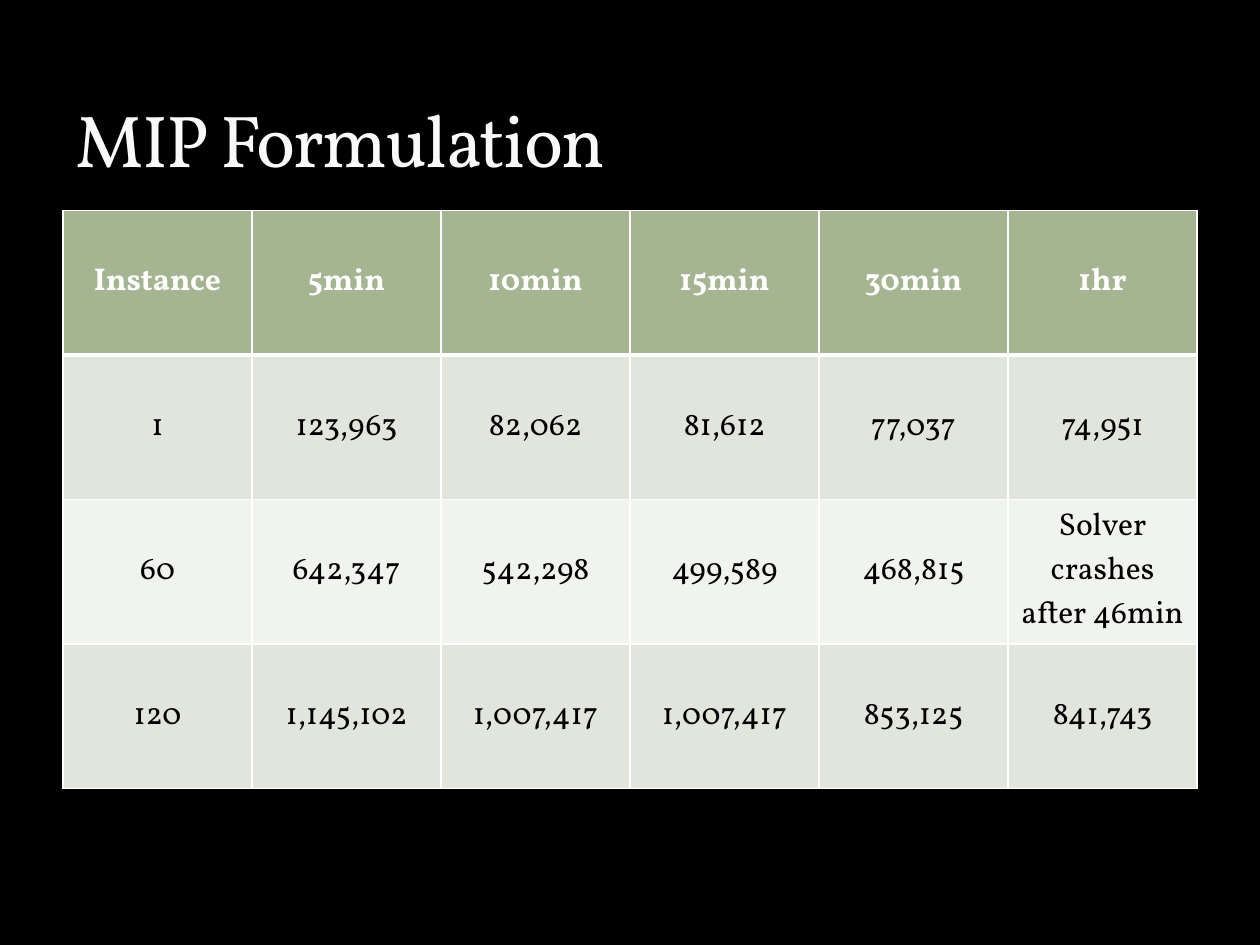
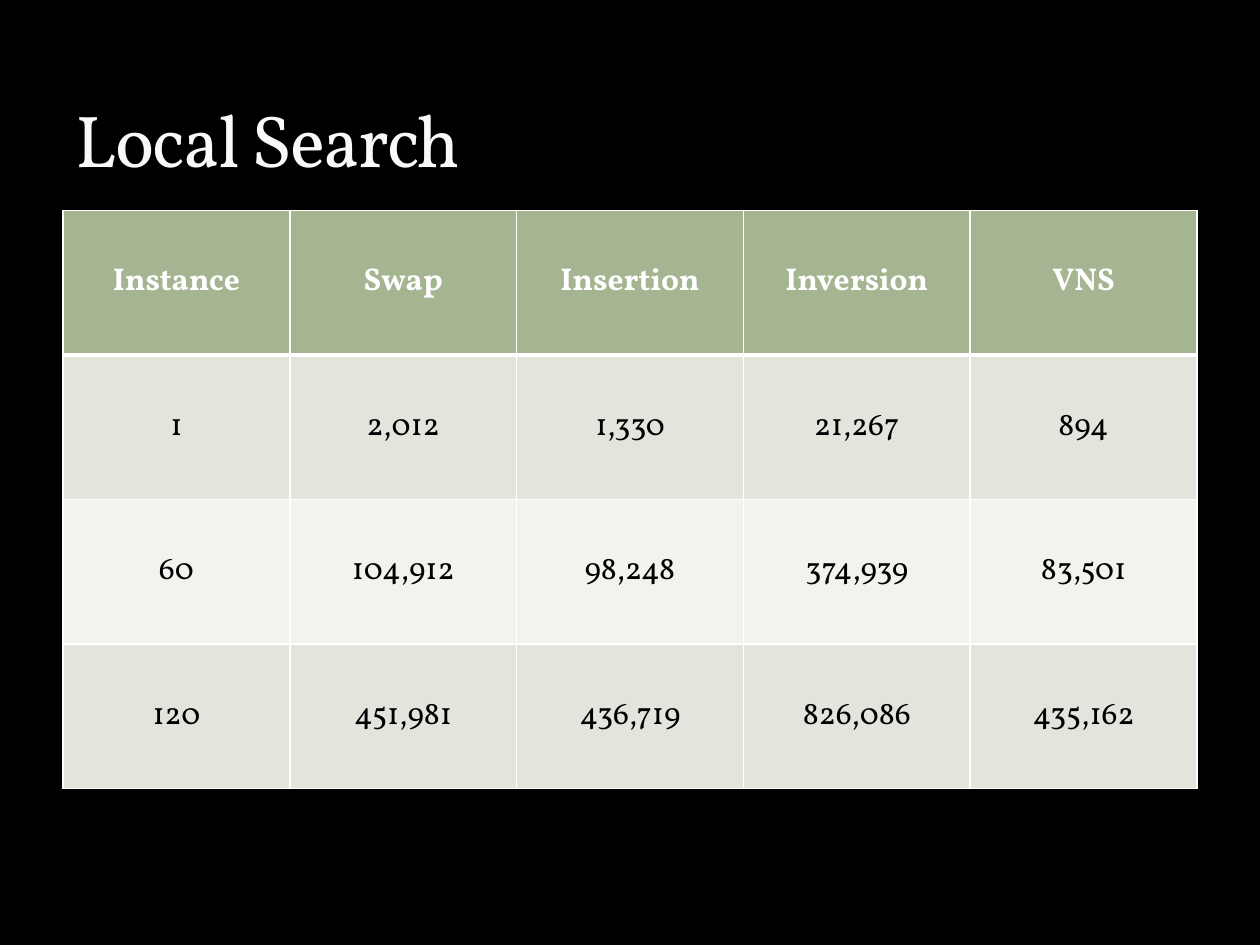
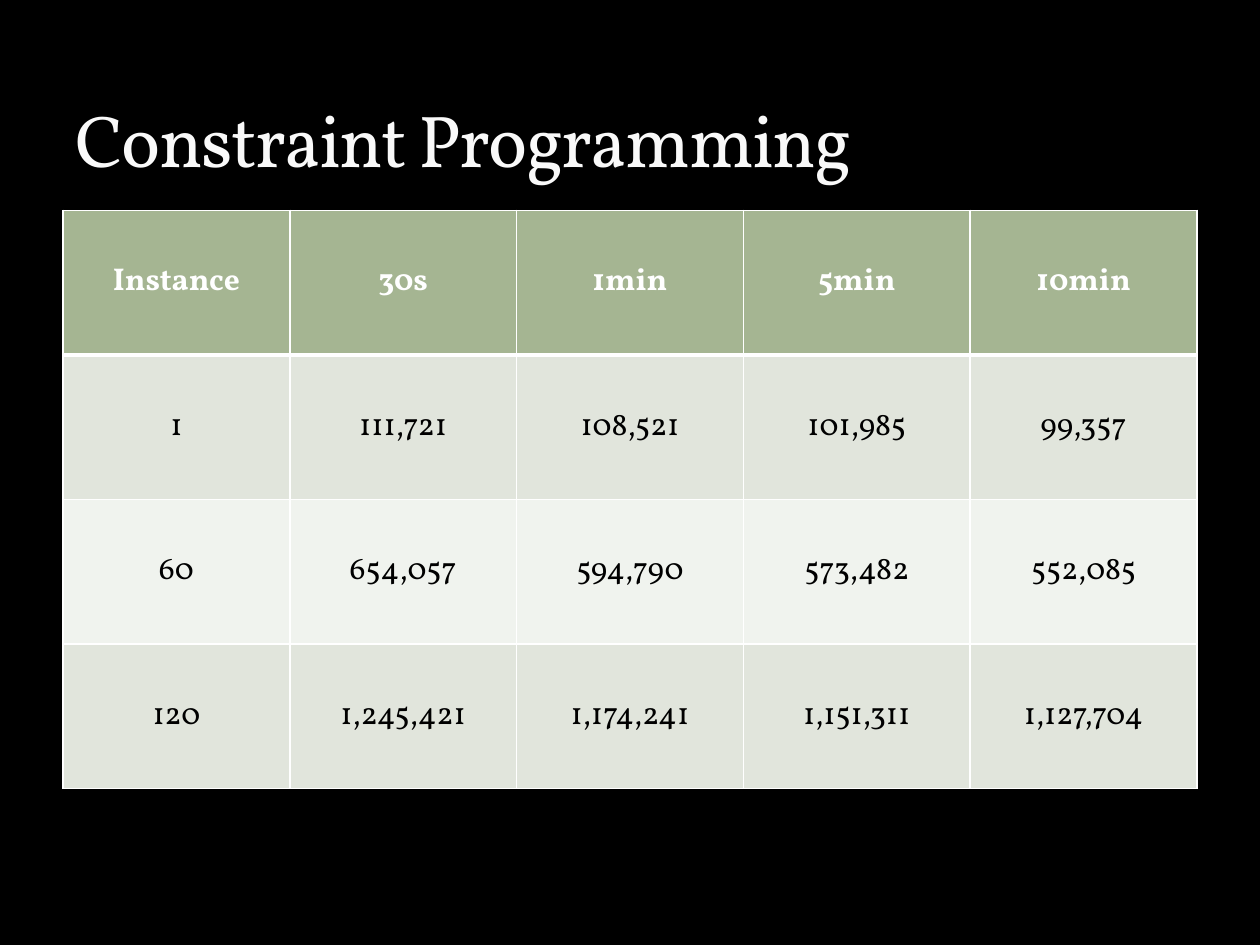
from lxml.etree import SubElement
from pptx import Presentation
from pptx.dml.color import RGBColor
from pptx.enum.text import MSO_ANCHOR, MSO_AUTO_SIZE, PP_ALIGN
from pptx.oxml import parse_xml
from pptx.oxml.ns import nsdecls, qn
from pptx.util import Inches, Pt

FONT = "Vollkorn"
COLORS = {
    "background": "000000",
    "title": "F9F9F9",
    "title_outline": "3C4422",
    "header": "A5B592",
    "header_text": "FFFFFF",
    "band_dark": "E1E5DC",
    "band_light": "F0F3EE",
    "body_text": "000000",
    "border": "FFFFFF",
}
LEFT, WIDTH = Inches(0.5), Inches(9)
TITLE_TOP, TITLE_HEIGHT = Inches(0.17), Inches(1.33)
TABLE_TOP, TABLE_HEIGHT = Inches(1.67), Inches(4.59)
THIN, THICK = Pt(1), Pt(3)

RESULTS = {
    "MIP Formulation": [
        ["Instance", "5min", "10min", "15min", "30min", "1hr"],
        ["1", "123,963", "82,062", "81,612", "77,037", "74,951"],
        ["60", "642,347", "542,298", "499,589", "468,815",
         "Solver crashes after 46min"],
        ["120", "1,145,102", "1,007,417", "1,007,417", "853,125", "841,743"],
    ],
    "Local Search": [
        ["Instance", "Swap", "Insertion", "Inversion", "VNS"],
        ["1", "2,012", "1,330", "21,267", "894"],
        ["60", "104,912", "98,248", "374,939", "83,501"],
        ["120", "451,981", "436,719", "826,086", "435,162"],
    ],
    "Constraint Programming": [
        ["Instance", "30s", "1min", "5min", "10min"],
        ["1", "111,721", "108,521", "101,985", "99,357"],
        ["60", "654,057", "594,790", "573,482", "552,085"],
        ["120", "1,245,421", "1,174,241", "1,151,311", "1,127,704"],
    ],
}


def color(name):
    return RGBColor.from_string(COLORS[name])


def format_span(span, size, color_name, bold=False):
    span.font.name = FONT
    span.font.size = Pt(size)
    span.font.bold = bold
    span.font.color.rgb = color(color_name)


def outline_text(span):
    """Give the letters a hairline, mostly transparent outline."""
    outline = parse_xml(
        f'<a:ln {nsdecls("a")} w="{Pt(0.25)}"><a:solidFill>'
        f'<a:srgbClr val="{COLORS["title_outline"]}"><a:alpha val="25000"/>'
        '</a:srgbClr></a:solidFill></a:ln>')
    span.font._element.insert(0, outline)


def set_title(page, text):
    title = page.shapes.title
    title.left, title.top = LEFT, TITLE_TOP
    title.width, title.height = WIDTH, TITLE_HEIGHT
    frame = title.text_frame
    frame.text = text
    frame.auto_size = MSO_AUTO_SIZE.NONE
    frame.vertical_anchor = MSO_ANCHOR.BOTTOM
    para = frame.paragraphs[0]
    para.alignment = PP_ALIGN.LEFT
    span = para.runs[0]
    format_span(span, 42, "title")
    span.font._element.set("spc", "-100")
    outline_text(span)


def set_borders(cell, top, bottom):
    """Draw all four cell borders; call before filling the cell."""
    properties = cell._tc.get_or_add_tcPr()
    widths = {"lnL": THIN, "lnR": THIN, "lnT": top, "lnB": bottom}
    for tag, width in widths.items():
        line = SubElement(properties, qn(f"a:{tag}"), w=str(width))
        fill = SubElement(line, qn("a:solidFill"))
        SubElement(fill, qn("a:srgbClr"), val=COLORS["border"])


def format_cell(cell, row_index):
    is_header = row_index == 0
    set_borders(cell, top=THICK if row_index == 1 else THIN,
                bottom=THICK if is_header else THIN)
    band = "band_dark" if row_index % 2 else "band_light"
    cell.fill.solid()
    cell.fill.fore_color.rgb = color("header" if is_header else band)
    cell.vertical_anchor = MSO_ANCHOR.MIDDLE
    para = cell.text_frame.paragraphs[0]
    para.alignment = PP_ALIGN.CENTER
    text_color = "header_text" if is_header else "body_text"
    format_span(para.runs[0], 18, text_color, bold=is_header)


def add_results_table(page, rows):
    table = page.shapes.add_table(len(rows), len(rows[0]), LEFT, TABLE_TOP,
                                  WIDTH, TABLE_HEIGHT).table
    for row_index, row in enumerate(rows):
        for column_index, value in enumerate(row):
            cell = table.cell(row_index, column_index)
            cell.text_frame.text = value
            format_cell(cell, row_index)


def main():
    deck = Presentation()
    deck.slide_width, deck.slide_height = Inches(10), Inches(7.5)
    background = deck.slide_master.background.fill
    background.solid()
    background.fore_color.rgb = color("background")
    title_only = deck.slide_layouts[5]
    for title, rows in RESULTS.items():
        page = deck.slides.add_slide(title_only)
        set_title(page, title)
        add_results_table(page, rows)
    deck.save("out.pptx")


if __name__ == "__main__":
    main()
